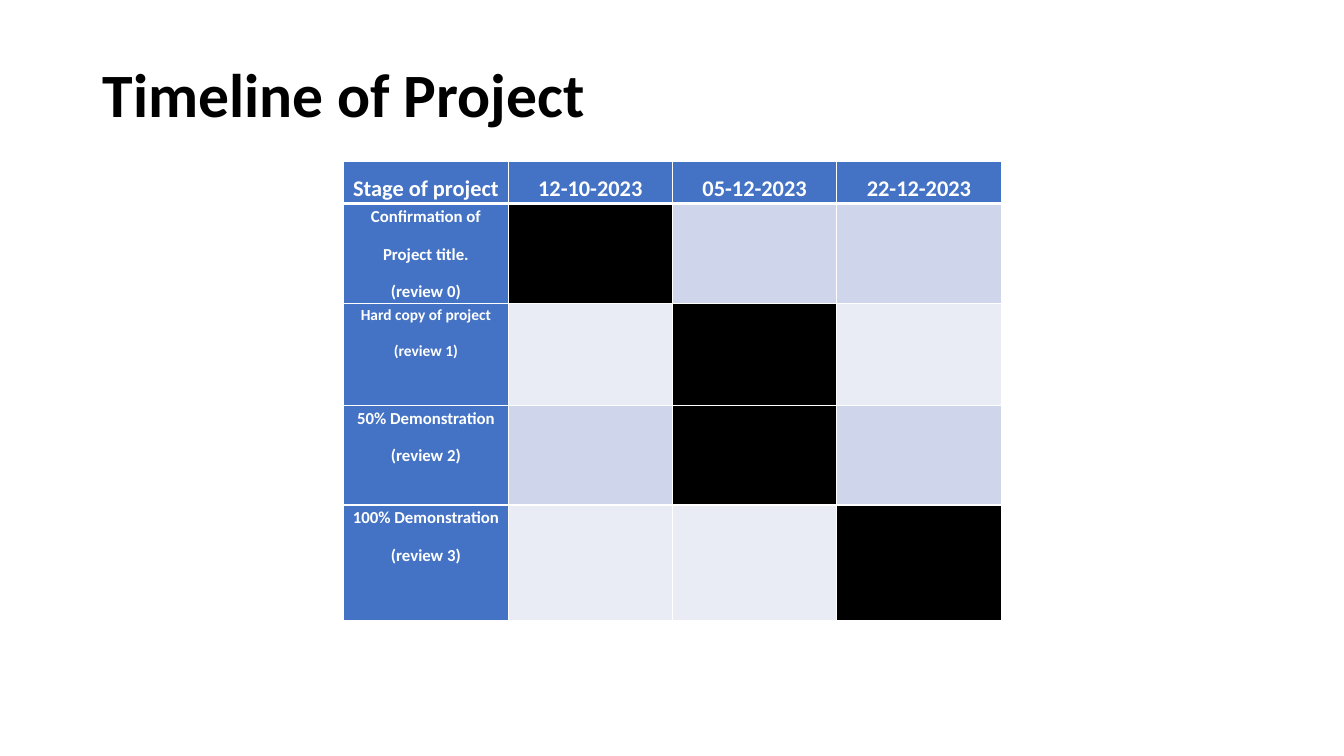
import pptx
import pptx.dml.color
import pptx.enum.text
import pptx.oxml.ns
import pptx.util
from lxml import etree

Inches = pptx.util.Inches
Pt = pptx.util.Pt

FONT = "Calibri"
COLORS = {
    "title": "000000",
    "header": "4472C4",
    "header_text": "FFFFFF",
    "border": "FFFFFF",
    "done": "000000",
    "odd_band": "CFD5EA",
    "even_band": "E9EBF5",
}

DATES = ["12-10-2023", "05-12-2023", "22-12-2023"]
# Lines of the stage, text size, index of its date, row height
STAGES = [
    (["Confirmation of", "Project title.", "(review 0)"], 12, 0, 0.99),
    (["Hard copy of project", "(review 1)"], 11, 1, 1.01),
    (["50% Demonstration", "(review 2)"], 12, 1, 0.99),
    (["100% Demonstration", "(review 3)"], 12, 2, 1.15),
]
HEADER_HEIGHT = 0.42
COLUMN_WIDTH = 1.63


def rgb(name):
    return pptx.dml.color.RGBColor.from_string(COLORS[name])


def style_paragraph(paragraph, size, color, spacing):
    paragraph.font.name = FONT
    paragraph.font.size = Pt(size)
    paragraph.font.bold = True
    paragraph.font.color.rgb = rgb(color)
    paragraph.line_spacing = spacing


def add_title(slide, text):
    title = slide.shapes.add_textbox(Inches(0.92), Inches(0.4), Inches(11.5), Inches(1.13))
    frame = title.text_frame
    frame.word_wrap = True
    frame.vertical_anchor = pptx.enum.text.MSO_ANCHOR.MIDDLE
    frame.text = text
    style_paragraph(frame.paragraphs[0], 44, "title", 0.9)


def set_borders(cell, top=1, bottom=1):
    properties = cell._tc.get_or_add_tcPr()
    widths = {"a:lnL": 1, "a:lnR": 1, "a:lnT": top, "a:lnB": bottom}
    for position, (tag, width) in enumerate(widths.items()):
        line = etree.Element(pptx.oxml.ns.qn(tag), w=str(Pt(width)))
        fill = etree.SubElement(line, pptx.oxml.ns.qn("a:solidFill"))
        etree.SubElement(fill, pptx.oxml.ns.qn("a:srgbClr"), val=COLORS["border"])
        properties.insert(position, line)


def fill_cell(cell, color):
    cell.fill.solid()
    cell.fill.fore_color.rgb = rgb(color)


def write_heading(cell, lines, size, spacing):
    fill_cell(cell, "header")
    cell.margin_left = cell.margin_right = Inches(0.07)
    cell.margin_top = cell.margin_bottom = 0
    cell.text = "\n".join(lines)
    for paragraph in cell.text_frame.paragraphs:
        style_paragraph(paragraph, size, "header_text", spacing)
        paragraph.alignment = pptx.enum.text.PP_ALIGN.CENTER
        paragraph.space_after = Pt(10)


def add_timeline(slide):
    heights = [HEADER_HEIGHT] + [stage[3] for stage in STAGES]
    columns = len(DATES) + 1
    timeline = slide.shapes.add_table(
        len(heights), columns, Inches(3.41), Inches(1.6),
        Inches(COLUMN_WIDTH * columns), Inches(sum(heights))).table
    for column in timeline.columns:
        column.width = Inches(COLUMN_WIDTH)
    for row, height in zip(timeline.rows, heights):
        row.height = Inches(height)

    # Header row
    for column, heading in enumerate(["Stage of project"] + DATES):
        cell = timeline.cell(0, column)
        write_heading(cell, [heading], 16, 1.5)
        set_borders(cell, bottom=3)

    # Stage rows, each with its date marked
    for row, (lines, size, done, _) in enumerate(STAGES, start=1):
        write_heading(timeline.cell(row, 0), lines, size, 1.15)
        band = "odd_band" if row % 2 else "even_band"
        for date in range(len(DATES)):
            fill_cell(timeline.cell(row, date + 1), "done" if date == done else band)
        for column in range(columns):
            set_borders(timeline.cell(row, column), top=3 if row == 1 else 1)


def main():
    deck = pptx.Presentation()
    deck.slide_width = Inches(13.33)
    deck.slide_height = Inches(7.5)
    slide = deck.slides.add_slide(deck.slide_layouts[6])
    add_title(slide, "Timeline of Project")
    add_timeline(slide)
    deck.save("out.pptx")


if __name__ == "__main__":
    main()
